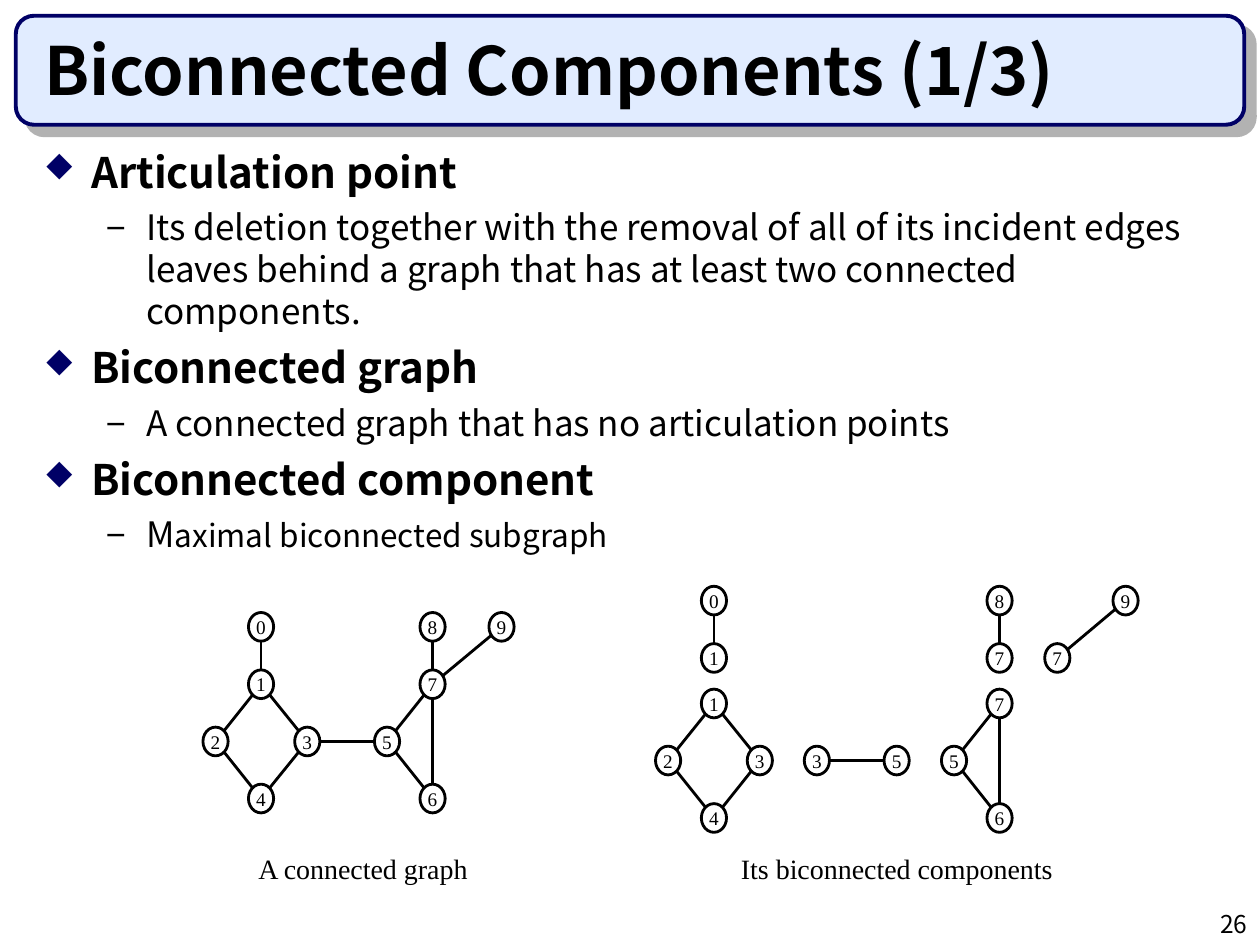
from math import hypot

from lxml.etree import SubElement
from pptx import Presentation
from pptx.dml.color import RGBColor
from pptx.enum.shapes import MSO_CONNECTOR, MSO_SHAPE
from pptx.enum.text import MSO_ANCHOR, PP_ALIGN
from pptx.oxml.ns import qn
from pptx.util import Pt

COLORS = {"black": "000000", "white": "FFFFFF", "navy": "000066",
          "banner": "E1ECFF", "shadow": "B2B2B2"}
SANS, SERIF = "Noto Sans CJK KR", "Times New Roman"


def color(name):
    return RGBColor.from_string(COLORS[name])


def write_text(text, paragraph, size, font=SANS, bold=False, align=PP_ALIGN.LEFT):
    paragraph.alignment = align
    run = paragraph.add_run()
    run.text = text
    run.font.size, run.font.name, run.font.bold = Pt(size), font, bold
    run.font.color.rgb = color("black")


prs = Presentation()
prs.slide_width, prs.slide_height = Pt(720), Pt(540)
slide = prs.slides.add_slide(prs.slide_layouts[5])

banner = slide.shapes.add_shape(MSO_SHAPE.ROUNDED_RECTANGLE, Pt(9), Pt(9), Pt(702), Pt(62.3))
banner.fill.solid()
banner.fill.fore_color.rgb = color("banner")
banner.line.color.rgb = color("navy")
banner.line.width = Pt(2.25)
effects = SubElement(banner.element.spPr, qn("a:effectLst"))
shadow = SubElement(effects, qn("a:outerShdw"), dist=str(Pt(8.5)), dir="2700000",
                    algn="ctr", rotWithShape="0")
SubElement(shadow, qn("a:srgbClr"), val=COLORS["shadow"])

title = slide.shapes.title
title.element.addprevious(banner.element)
title.left, title.top, title.width, title.height = Pt(18), Pt(18), Pt(678), Pt(48)
title.text_frame.vertical_anchor = MSO_ANCHOR.BOTTOM
write_text("Biconnected Components (1/3)", title.text_frame.paragraphs[0], size=38, bold=True)

page_number = slide.shapes.add_textbox(Pt(570), Pt(516), Pt(150), Pt(24)).text_frame
page_number.word_wrap = True
write_text("26", page_number.paragraphs[0], size=14, align=PP_ALIGN.RIGHT)

definitions = [
    ("Articulation point",
     [("Its deletion together with the removal of all of its incident edges "
       "leaves behind a graph that has at least two connected components.", 20)]),
    ("Biconnected graph", [("A connected graph that has no articulation points", 20)]),
    ("Biconnected component", [("M", 20), ("aximal biconnected subgraph", 18)]),
]
levels = [
    {"indent": 27, "margin": 27, "before": 6, "bullet": "u", "font": "Wingdings",
     "color": "navy", "percent": 75},
    {"indent": 22.5, "margin": 58.5, "before": 5, "bullet": "−", "font": SANS,
     "color": "black", "percent": 100},
]
body = slide.shapes.add_textbox(Pt(18), Pt(80), Pt(678), Pt(420)).text_frame
body.word_wrap = True
for term, meaning in definitions:
    for level, runs in enumerate([[(term, 24)], meaning]):
        style = levels[level]
        first = term == definitions[0][0] and level == 0
        paragraph = body.paragraphs[0] if first else body.add_paragraph()
        paragraph.level = level
        paragraph.space_before = Pt(0 if first else style["before"])
        properties = paragraph._p.get_or_add_pPr()
        properties.set("marL", str(Pt(style["margin"])))
        properties.set("indent", str(-Pt(style["indent"])))
        bullet_color = SubElement(properties, qn("a:buClr"))
        SubElement(bullet_color, qn("a:srgbClr"), val=COLORS[style["color"]])
        SubElement(properties, qn("a:buSzPct"), val=str(style["percent"] * 1000))
        SubElement(properties, qn("a:buFont"), typeface=style["font"])
        SubElement(properties, qn("a:buChar"), char=style["bullet"])
        for text, size in runs:
            write_text(text, paragraph, size=size, bold=level == 0)

connected_graph = [
    ({"0": (149.2, 358.2), "1": (149.2, 391), "2": (123.2, 423.7), "3": (175.6, 423.7),
      "4": (149.2, 456.3), "5": (221.2, 423.7), "6": (247.2, 456.3), "7": (247.2, 391),
      "8": (247.2, 358.2), "9": (286.6, 358.2)},
     ["01", "12", "13", "24", "34", "35", "76", "75", "56", "97", "87"]),
]
biconnected_components = [
    ({"1": (408, 402), "2": (381.8, 434.6), "3": (434.2, 434.6), "4": (408, 467.4)},
     ["12", "13", "24", "34"]),
    ({"5": (545.2, 434.6), "7": (571.2, 402), "6": (571.2, 467.4)}, ["76", "75", "56"]),
    ({"3": (466.8, 434.6), "5": (512.4, 434.6)}, ["35"]),
    ({"0": (408, 343.2), "1": (408, 376)}, ["01"]),
    ({"7": (571.2, 376), "8": (571.2, 343.2)}, ["87"]),
    ({"9": (643.2, 343.2), "7": (604.2, 376)}, ["97"]),
]
radius_x, radius_y = 7.2, 8.2
figures = [
    (connected_graph, "A connected graph", 147.6, 120.2),
    (biconnected_components, "Its biconnected components", 423.4, 178.6),
]
for components, caption, caption_left, caption_width in figures:
    figure = slide.shapes.add_group_shape().shapes
    for nodes, edges in components:
        for start, end in edges:
            (x1, y1), (x2, y2) = nodes[start], nodes[end]
            trim = 1 / hypot((x2 - x1) / radius_x, (y2 - y1) / radius_y)
            dx, dy = (x2 - x1) * trim, (y2 - y1) * trim
            edge = figure.add_connector(MSO_CONNECTOR.STRAIGHT, Pt(x1 + dx), Pt(y1 + dy),
                                        Pt(x2 - dx), Pt(y2 - dy))
            edge.line.color.rgb = color("black")
            edge.line.width = Pt(1.62)
            SubElement(edge._element.spPr, qn("a:effectLst"))
        for label, (x, y) in nodes.items():
            node = figure.add_shape(MSO_SHAPE.OVAL, Pt(x - radius_x), Pt(y - radius_y),
                                    Pt(2 * radius_x), Pt(2 * radius_y))
            node.shadow.inherit = False
            node.fill.solid()
            node.fill.fore_color.rgb = color("white")
            node.line.color.rgb = color("black")
            node.line.width = Pt(1.62)
            frame = node.text_frame
            frame.margin_left = frame.margin_top = frame.margin_right = frame.margin_bottom = 0
            frame.word_wrap = False
            frame.vertical_anchor = MSO_ANCHOR.MIDDLE
            write_text(label, frame.paragraphs[0], size=11, font=SERIF, align=PP_ALIGN.CENTER)
    frame = slide.shapes.add_textbox(Pt(caption_left), Pt(486.7), Pt(caption_width), Pt(19.4)).text_frame
    frame.margin_left = frame.margin_top = frame.margin_right = frame.margin_bottom = 0
    frame.word_wrap = False
    write_text(caption, frame.paragraphs[0], size=16, font=SERIF)

prs.save("out.pptx")
